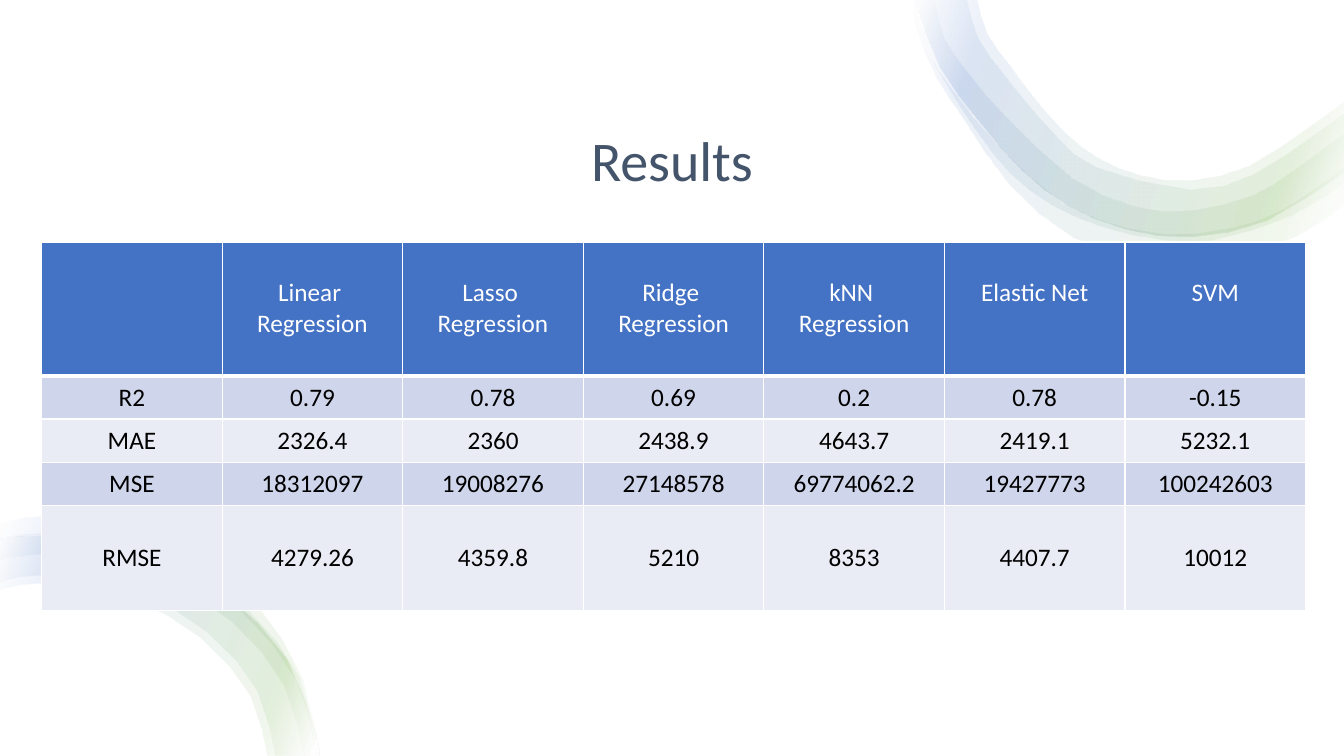
import pptx
import pptx.dml.color
import pptx.enum.text
import pptx.oxml
import pptx.oxml.ns
import pptx.util

Cm, Pt = pptx.util.Cm, pptx.util.Pt
ALIGN, ANCHOR = pptx.enum.text.PP_ALIGN, pptx.enum.text.MSO_ANCHOR
NAMESPACE = pptx.oxml.ns.nsdecls("a")


def paint(target, colour, size=None):
    """Colour a fill solid, or a font together with its size and typeface."""
    if size is None:
        target.solid()
        target.fore_color.rgb = pptx.dml.color.RGBColor.from_string(colour)
    else:
        target.name, target.size = "Calibri", Pt(size)
        target.color.rgb = pptx.dml.color.RGBColor.from_string(colour)


def smooth(edge, steps=2):
    """Return points in EMU on a Catmull-Rom curve through an edge given in cm."""
    padded = [edge[0], *edge, edge[-1]]
    curve = []
    for a, b, c, d in zip(padded, padded[1:], padded[2:], padded[3:]):
        for step in range(steps):
            t = step / steps
            curve.append(tuple(
                Cm(q + (r - p) * t / 2 + (2 * p - 5 * q + 4 * r - s) * t**2 / 2
                   + (3 * q - p - 3 * r + s) * t**3 / 2)
                for p, q, r, s in zip(a, b, c, d)))
    return curve + [tuple(Cm(value) for value in edge[-1])]


deck = pptx.Presentation()
deck.slide_width, deck.slide_height = Cm(33.87), Cm(19.05)
slide = deck.slides.add_slide(deck.slide_layouts[5])
paint(slide.background.fill, "FFFFFF")

# Title
title = slide.shapes.title
title.left, title.top, title.width, title.height = Cm(3.28), Cm(1.32), Cm(27.31), Cm(3.68)
title.text_frame.auto_size = pptx.enum.text.MSO_AUTO_SIZE.NONE
title.text_frame.vertical_anchor = ANCHOR.BOTTOM
heading = title.text_frame.paragraphs[0]
heading.alignment, heading.line_spacing = ALIGN.CENTER, 0.9
heading_run = heading.add_run()
heading_run.text = "Results"
paint(heading_run.font, "44546A", 40)

# Ribbons: each one is an edge and the edge that leads back, in cm
top_outer = [(33.87, 4.34), (31.93, 5.56), (30, 5.97), (28.35, 5.77), (26.92, 5.18),
             (25.76, 4.29), (24.71, 3.1), (23.7, 1.71), (23.14, 0.18), (23.14, 0)]
bottom_outer = [(0, 13.61), (1.24, 13.49), (3.58, 13.89), (5.64, 14.96), (7.21, 16.59),
                (7.98, 18.59), (8.03, 19.05)]
ribbons = [
    ([(23.11, 0), (23.37, 1.24), (24.08, 2.34), (25.12, 3.61), (26.8, 5.11),
      (28.58, 5.77), (30.1, 5.87), (31.7, 5.54), (32.84, 4.93), (33.87, 4.19)],
     [(33.87, 5.13), (32.69, 5.92), (30.61, 6.58), (29.13, 6.58), (27.05, 5.97),
      (25.43, 4.62), (24.28, 2.97), (23.57, 1.88), (23.09, 0.64), (23.04, 0)]),
    ([(23.55, 0), (23.8, 0.99), (24.49, 1.96), (25.3, 2.9), (27.03, 4.5),
      (28.63, 5.21), (29.97, 5.31), (31.52, 4.93), (32.54, 4.32), (33.87, 3.35)],
     [(33.87, 4.6), (32.51, 5.44), (30.53, 6.05), (29.13, 6.02), (27.79, 5.72),
      (26.52, 5.18), (25.45, 4.37), (24.64, 3.35), (23.95, 2.31), (23.34, 1.17),
      (23.14, 0)]),
    ([(24.38, 0), (24.66, 0.97), (25.27, 1.83), (25.73, 2.41), (26.67, 3.48),
      (27.64, 4.22), (30, 4.78), (31.6, 4.39), (33.22, 3.33), (33.87, 2.87)], top_outer),
    ([(24.64, 0), (24.89, 0.86), (25.48, 1.68), (25.93, 2.29), (26.8, 3.3), (27.69, 3.99),
      (28.75, 4.42), (30, 4.55), (31.47, 4.19), (33.07, 3.15), (33.87, 2.57)], top_outer),
    (bottom_outer, [(6.73, 19.05), (6.3, 17.53), (5.05, 16.08), (3.25, 15.06),
                    (1.24, 14.68), (0, 14.86)]),
    (bottom_outer, [(6.93, 19.05), (6.48, 17.42), (5.21, 15.93), (3.33, 14.86),
                    (1.24, 14.48), (0, 14.66)]),
    ([(0, 13.56), (1.55, 13.44), (4.32, 14.07), (6.2, 15.32), (7.54, 17.07), (8.03, 19.05)],
     [(7.67, 19.05), (7.14, 17.25), (5.84, 15.67), (4.06, 14.58), (2.06, 14),
      (0.99, 13.97), (0, 14.1)]),
    ([(0, 13.23), (1.55, 13), (4.52, 13.72), (6.4, 15.16), (7.62, 17.12), (8.05, 19.05)],
     [(7.98, 19.05), (7.47, 17.17), (6.1, 15.44), (4.24, 14.2), (2.11, 13.54),
      (0.99, 13.49), (0, 13.61)]),
]
stops = "".join(
    f'<a:gs pos="{place}000"><a:srgbClr val="{colour}"><a:alpha val="10000"/></a:srgbClr></a:gs>'
    for place, colour in [(2, "FFFFFF"), (16, "70AD47"), (85, "4472C4"), (100, "FFFFFF")])
gradient = (f'<a:gradFill {NAMESPACE} rotWithShape="1"><a:gsLst>{stops}</a:gsLst>'
            '<a:lin ang="12000000" scaled="0"/></a:gradFill>')
for there, back in ribbons:
    outline = smooth(there) + smooth(back)
    builder = slide.shapes.build_freeform(*outline[0])
    builder.add_line_segments(outline[1:], close=True)
    ribbon = builder.convert_to_shape()
    ribbon.shadow.inherit = False
    ribbon.line.fill.background()
    ribbon.element.spPr.insert(2, pptx.oxml.parse_xml(gradient))

# Scores of the models
scores = [
    ["", "Linear\u00a0\nRegression", "Lasso\u00a0\nRegression", "Ridge\u00a0\nRegression",
     "kNN\u00a0\nRegression", "Elastic Net", "SVM"],
    ["R2", "0.79", "0.78", "0.69", "0.2", "0.78", "-0.15"],
    ["MAE", "2326.4", "2360", "2438.9", "4643.7", "2419.1", "5232.1"],
    ["MSE", "18312097", "19008276", "27148578", "69774062.2", "19427773", "100242603"],
    ["RMSE", "4279.26", "4359.8", "5210", "8353", "4407.7", "10012"],
]
row_heights = [3.37, 1.09, 1.09, 1.09, 2.64]
row_fills = ["4472C4", "CFD5EA", "E9EBF5", "CFD5EA", "E9EBF5"]
table = slide.shapes.add_table(5, 7, Cm(1.05), Cm(6.1), Cm(31.85), Cm(sum(row_heights))).table
for column in table.columns:
    column.width = Cm(4.55)
for row, (values, height, fill) in enumerate(zip(scores, row_heights, row_fills)):
    table.rows[row].height = Cm(height)
    is_header = row == 0
    for column, value in enumerate(values):
        cell = table.cell(row, column)
        paint(cell.fill, fill)
        cell.margin_left = cell.margin_right = Cm(0.25 if is_header else 0.36)
        cell.margin_top = Cm(0.9 if is_header else 0.15)
        cell.margin_bottom = Cm(0.15)
        cell.vertical_anchor = ANCHOR.TOP if is_header else ANCHOR.MIDDLE
        for index, line in enumerate(value.split("\n") if value else []):
            frame = cell.text_frame
            paragraph = frame.add_paragraph() if index else frame.paragraphs[0]
            paragraph.alignment = ALIGN.CENTER
            run = paragraph.add_run()
            run.text = line
            paint(run.font, "FFFFFF" if is_header else "000000", 18)
        for place, side in enumerate("LRTB"):
            thick = (row, side) in [(0, "B"), (1, "T")]
            cell._tc.get_or_add_tcPr().insert(place, pptx.oxml.parse_xml(
                f'<a:ln{side} {NAMESPACE} w="{Pt(3 if thick else 1)}"><a:solidFill>'
                f'<a:srgbClr val="FFFFFF"/></a:solidFill></a:ln{side}>'))

deck.save("out.pptx")
